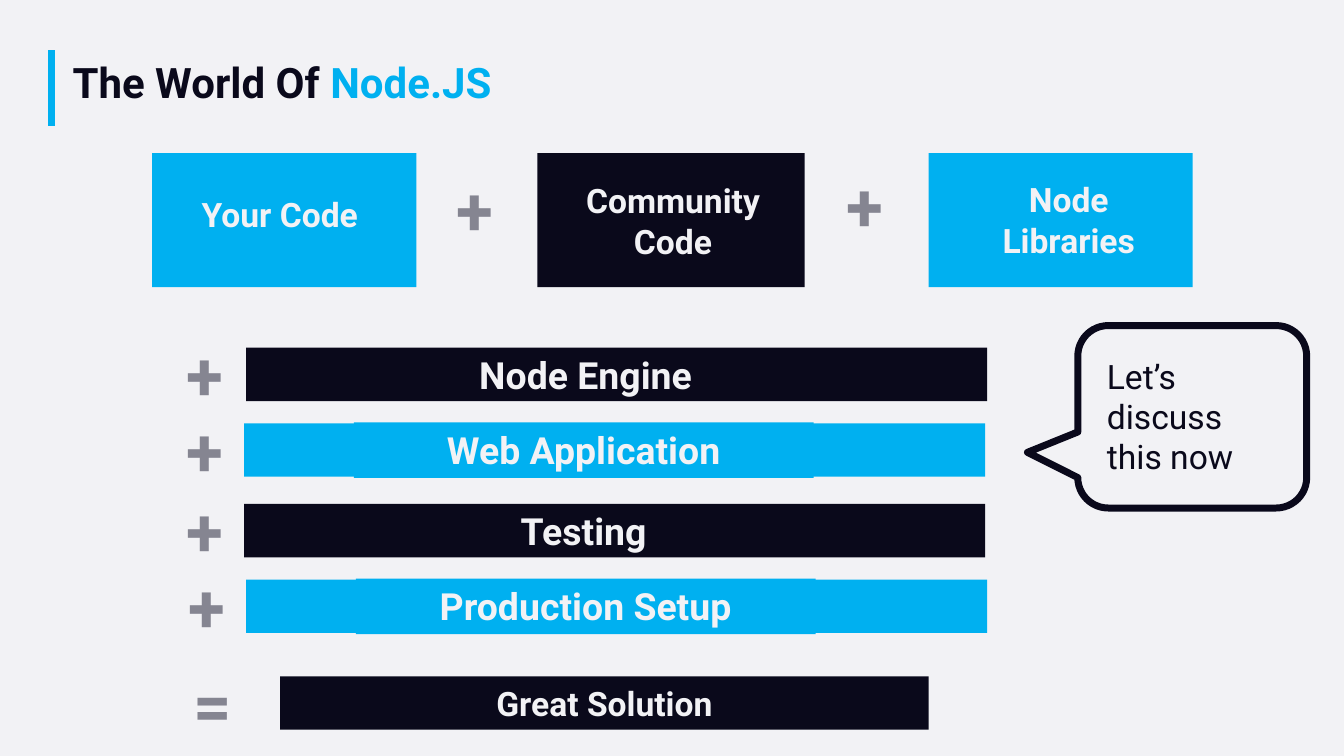
from dataclasses import dataclass

from lxml import etree
from pptx import Presentation
from pptx.dml.color import RGBColor
from pptx.enum import shapes, text
from pptx.oxml.ns import qn
from pptx.util import Inches, Pt


@dataclass(frozen=True)
class Theme:
    font: str = "Roboto"
    paper: str = "F2F2F5"
    ink: str = "0A091B"
    accent: str = "00B0F0"
    muted: str = "858591"
    title: float = 30
    body: float = 24
    layer: float = 26.7
    sign: float = 48
    stroke: float = 5


THEME = Theme()
CENTER, LEFT = text.PP_ALIGN.CENTER, text.PP_ALIGN.LEFT


def rgb(colour):
    return RGBColor.from_string(colour)


def style_run(run, size, colour, bold=True):
    run.font.name = THEME.font
    run.font.size = Pt(size)
    run.font.bold = bold
    run.font.color.rgb = rgb(colour)


def write(frame, wording, size, colour, align=CENTER, bold=True):
    frame.text = wording
    for paragraph in frame.paragraphs:
        paragraph.alignment = align
        for run in paragraph.runs:
            style_run(run, size, colour, bold)


def add_block(slide, left, top, width, height, colour):
    block = slide.shapes.add_shape(
        shapes.MSO_SHAPE.RECTANGLE,
        Inches(left), Inches(top), Inches(width), Inches(height))
    block.shadow.inherit = False
    block.fill.solid()
    block.fill.fore_color.rgb = rgb(colour)
    block.line.fill.background()
    return block


def add_label(slide, left, top, width, height, wording, size,
              colour=THEME.paper, align=CENTER, bold=True, wrap=True):
    label = slide.shapes.add_textbox(
        Inches(left), Inches(top), Inches(width), Inches(height))
    label.text_frame.word_wrap = wrap
    write(label.text_frame, wording, size, colour, align, bold)
    return label


def add_sign(slide, left, top, sign="+"):
    add_label(slide, left, top, 0.58, 0.91, sign, THEME.sign, THEME.muted,
              LEFT, wrap=False)


def add_layer(slide, left, top, wording, colour):
    """Draw a wide bar whose label sits left of the bar's middle."""
    add_block(slide, left, top, 7.35, 0.53, colour)
    label = add_label(slide, left + 1.09, top - 0.01, 4.56, 0.55, wording,
                      THEME.layer)
    if colour == THEME.accent:
        label.fill.solid()
        label.fill.fore_color.rgb = rgb(colour)


def add_title(slide):
    rule = slide.shapes.add_connector(
        shapes.MSO_CONNECTOR.STRAIGHT,
        Inches(0.51), Inches(0.5), Inches(0.51), Inches(1.25))
    rule.line.color.rgb = rgb(THEME.accent)
    rule.line.width = Pt(THEME.stroke)
    etree.SubElement(rule._element.spPr, qn("a:effectLst"))

    title = slide.shapes.title
    title.left, title.top = Inches(0.62), Inches(0.56)
    title.width, title.height = Inches(8.16), Inches(0.56)
    title.text_frame.vertical_anchor = text.MSO_ANCHOR.MIDDLE
    write(title.text_frame, "The World Of", THEME.title, THEME.ink, LEFT)
    heading = title.text_frame.paragraphs[0]
    heading.line_spacing = 0.9
    subject = heading.add_run()
    subject.text = " Node.JS"
    style_run(subject, THEME.title, THEME.accent)


def add_callout(slide, wording):
    bubble = slide.shapes.add_shape(
        shapes.MSO_SHAPE.ROUNDED_RECTANGULAR_CALLOUT,
        Inches(10.69), Inches(3.23), Inches(2.27), Inches(1.81))
    bubble.shadow.inherit = False
    bubble.fill.background()
    bubble.line.color.rgb = rgb(THEME.ink)
    bubble.line.width = Pt(THEME.stroke)
    for index, value in enumerate((-0.72, 0.195, 0.167)):
        bubble.adjustments[index] = value
    add_label(slide, 10.88, 3.48, 1.85, 1.31, wording, THEME.body, THEME.ink,
              LEFT, bold=False)


def main():
    deck = Presentation()
    deck.slide_width, deck.slide_height = Inches(13.33), Inches(7.5)
    slide = deck.slides.add_slide(deck.slide_layouts[5])
    slide.background.fill.solid()
    slide.background.fill.fore_color.rgb = rgb(THEME.paper)
    add_title(slide)

    add_block(slide, 1.51, 1.52, 2.62, 1.33, THEME.accent)
    add_label(slide, 1.47, 1.87, 2.61, 0.5, "Your Code", THEME.body)
    add_sign(slide, 4.43, 1.62)
    add_block(slide, 5.33, 1.52, 2.65, 1.33, THEME.ink)
    add_label(slide, 5.35, 1.74, 2.65, 0.91, "Community Code", THEME.body)
    add_sign(slide, 8.3, 1.58)
    add_block(slide, 9.21, 1.52, 2.62, 1.33, THEME.accent)
    add_label(slide, 9.52, 1.73, 2.16, 0.91, "Node\nLibraries", THEME.body)

    layers = [
        (2.44, 3.45, "Node Engine", THEME.ink, 1.75),
        (2.42, 4.2, "Web Application", THEME.accent, 1.75),
        (2.42, 5, "Testing", THEME.ink, 1.75),
        (2.44, 5.75, "Production Setup", THEME.accent, 1.77),
    ]
    for left, top, wording, colour, sign_left in layers:
        add_sign(slide, sign_left, top - 0.19)
        add_layer(slide, left, top, wording, colour)

    add_sign(slide, 1.82, 6.53, "=")
    solution = add_block(slide, 2.78, 6.71, 6.43, 0.53, THEME.ink)
    solution.text_frame.vertical_anchor = text.MSO_ANCHOR.MIDDLE
    write(solution.text_frame, "Great Solution", THEME.body, THEME.paper)

    add_callout(slide, "Let’s discuss this now")
    deck.save("out.pptx")


if __name__ == "__main__":
    main()
